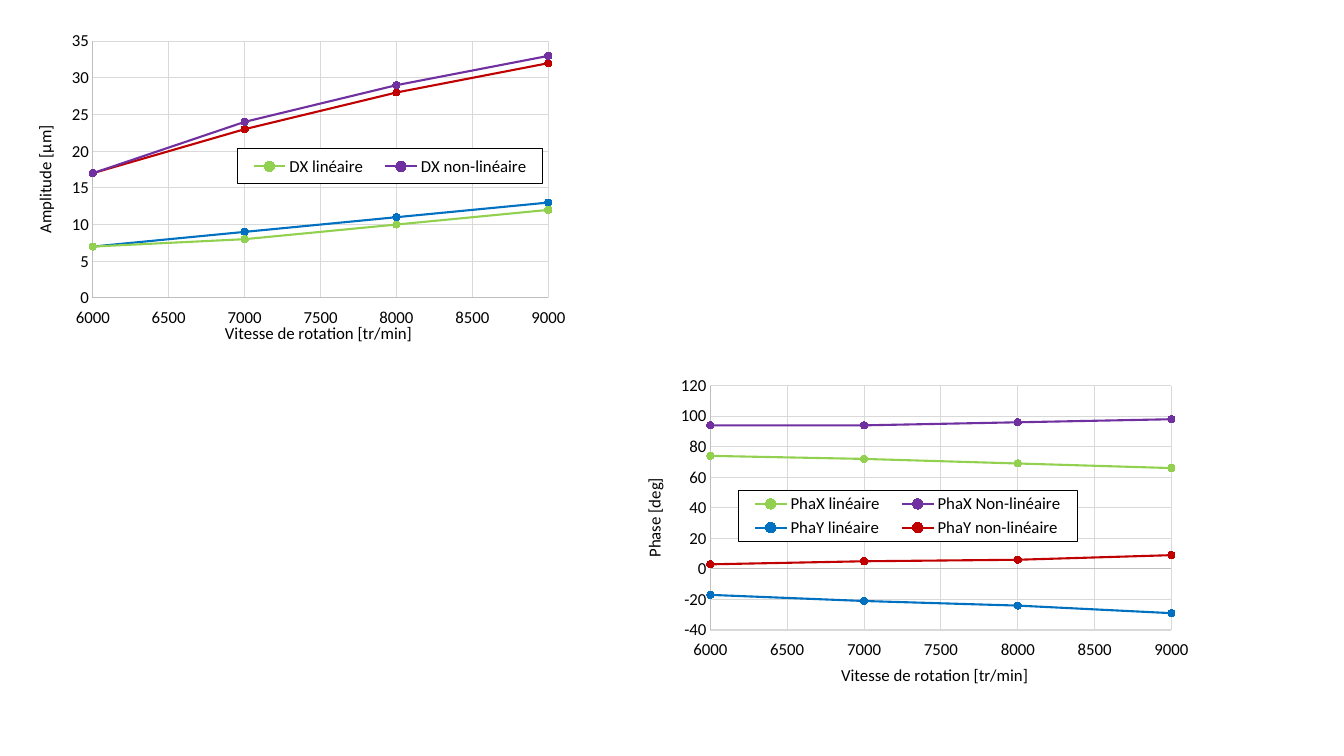
from lxml import etree
from pptx import Presentation
from pptx.chart.data import XyChartData
from pptx.dml.color import RGBColor
from pptx.enum.chart import (
    XL_CHART_TYPE, XL_LEGEND_POSITION, XL_MARKER_STYLE, XL_TICK_LABEL_POSITION, XL_TICK_MARK,
)
from pptx.oxml import parse_xml
from pptx.oxml.ns import qn
from pptx.util import Inches, Pt

SMOOTH_SCATTER = XL_CHART_TYPE.XY_SCATTER_SMOOTH
LEGEND_RIGHT = XL_LEGEND_POSITION.RIGHT
CIRCLE = XL_MARKER_STYLE.CIRCLE
LABELS_LOW = XL_TICK_LABEL_POSITION.LOW
NO_TICK = XL_TICK_MARK.NONE

CHART_NAMESPACE = "http://schemas.openxmlformats.org/drawingml/2006/chart"
DRAWING_NAMESPACE = "http://schemas.openxmlformats.org/drawingml/2006/main"
FONT = "Calibri"
BLACK, AXIS_GREY, GRID_GREY = "000000", "BFBFBF", "D9D9D9"
GREEN, PURPLE, BLUE, RED = "92D050", "7030A0", "0070C0", "C00000"
SPEEDS = range(6000, 9001, 1000)
CHART_WIDTH, CHART_HEIGHT = 5.51, 3.15

AMPLITUDES = [
    ("DX linéaire", GREEN, (7, 8, 10, 12)),
    ("DX non-linéaire", PURPLE, (17, 24, 29, 33)),
    ("DY linéaire", BLUE, (7, 9, 11, 13)),
    ("DY non-linéaire", RED, (17, 23, 28, 32)),
]
PHASES = [
    ("PhaX linéaire", GREEN, (74, 72, 69, 66)),
    ("PhaX Non-linéaire", PURPLE, (94, 94, 96, 98)),
    ("PhaY linéaire", BLUE, (-17, -21, -24, -29)),
    ("PhaY non-linéaire", RED, (3, 5, 6, 9)),
]


def color(hex_string):
    return RGBColor.from_string(hex_string)


def format_font(font):
    font.name = FONT
    font.size = Pt(12)
    font.bold = False
    font.color.rgb = color(BLACK)


def format_line(line, hex_string, width):
    line.color.rgb = color(hex_string)
    line.width = Pt(width)


def layout_element(box, inner=False):
    layout = etree.Element(qn("c:layout"))
    manual = etree.SubElement(layout, qn("c:manualLayout"))
    settings = [("layoutTarget", "inner")] if inner else []
    settings += [("xMode", "edge"), ("yMode", "edge"), *zip("xywh", box)]
    for name, value in settings:
        etree.SubElement(manual, qn(f"c:{name}")).set("val", str(value))
    return layout


def format_axis(axis, title, minimum, maximum, step):
    axis.minimum_scale, axis.maximum_scale, axis.major_unit = minimum, maximum, step
    axis.major_tick_mark = axis.minor_tick_mark = NO_TICK
    axis.has_major_gridlines = True
    format_line(axis.major_gridlines.format.line, GRID_GREY, 0.75)
    format_line(axis.format.line, AXIS_GREY, 0.75)
    format_font(axis.tick_labels.font)
    axis.tick_labels.number_format = "General"
    axis.tick_labels.number_format_is_linked = False
    paragraph = axis.axis_title.text_frame.paragraphs[0]
    paragraph.text = title
    format_font(paragraph.font)


def add_legend(chart, box, hidden_entries):
    chart.has_legend = True
    legend = chart.legend
    legend.position = LEGEND_RIGHT
    legend.include_in_layout = True
    format_font(legend.font)
    element = legend.font and chart.element.find(f".//{qn('c:legend')}")
    old_layout = element.find(qn("c:layout"))
    if old_layout is not None:
        element.remove(old_layout)
    element.insert(1, layout_element(box))
    for index in reversed(hidden_entries):
        entry = etree.Element(qn("c:legendEntry"))
        etree.SubElement(entry, qn("c:idx")).set("val", str(index))
        etree.SubElement(entry, qn("c:delete")).set("val", "1")
        element.insert(1, entry)
    frame = parse_xml(
        f'<c:spPr xmlns:c="{CHART_NAMESPACE}" xmlns:a="{DRAWING_NAMESPACE}">'
        '<a:solidFill><a:srgbClr val="FFFFFF"/></a:solidFill>'
        '<a:ln w="9525"><a:solidFill><a:srgbClr val="000000"/></a:solidFill></a:ln></c:spPr>'
    )
    element.find(qn("c:txPr")).addprevious(frame)


def add_speed_chart(slide, left, top, curves, title, scale, plot_box, legend_box, hidden_entries=()):
    data = XyChartData()
    for name, _, values in curves:
        series = data.add_series(name)
        for speed, value in zip(SPEEDS, values):
            series.add_data_point(speed, value)
    chart = slide.shapes.add_chart(
        SMOOTH_SCATTER, Inches(left), Inches(top), Inches(CHART_WIDTH), Inches(CHART_HEIGHT), data
    ).chart
    chart.has_title = False
    format_font(chart.font)
    plot = chart.plots[0]
    plot.vary_by_categories = False
    for series, (_, hex_string, _) in zip(plot.series, curves):
        series.smooth = True
        format_line(series.format.line, hex_string, 1.5)
        series.marker.style = CIRCLE
        series.marker.size = 5
        series.marker.format.fill.solid()
        series.marker.format.fill.fore_color.rgb = color(hex_string)
        format_line(series.marker.format.line, hex_string, 0.75)
    format_axis(chart.category_axis, "Vitesse de rotation [tr/min]", SPEEDS[0], SPEEDS[-1], 500)
    chart.category_axis.tick_label_position = LABELS_LOW
    format_axis(chart.value_axis, title, *scale)
    plot_area = chart.element.find(f".//{qn('c:plotArea')}")
    old_layout = plot_area.find(qn("c:layout"))
    if old_layout is not None:
        plot_area.remove(old_layout)
    plot_area.insert(0, layout_element(plot_box, inner=True))
    add_legend(chart, legend_box, hidden_entries)


def main():
    presentation = Presentation()
    presentation.slide_width = Inches(13.33)
    presentation.slide_height = Inches(7.5)
    slide = presentation.slides.add_slide(presentation.slide_layouts[6])
    add_speed_chart(
        slide, 0.26, 0.31, AMPLITUDES, "Amplitude [µm]", (0, 35, 5),
        (0.12, 0.03, 0.82, 0.81), (0.38, 0.37, 0.55, 0.11), (2, 3),
    )
    add_speed_chart(
        slide, 6.33, 3.7, PHASES, "Phase [deg]", (-40, 120, 20),
        (0.13, 0.04, 0.83, 0.77), (0.18, 0.37, 0.61, 0.16),
    )
    presentation.save("out.pptx")


if __name__ == "__main__":
    main()
